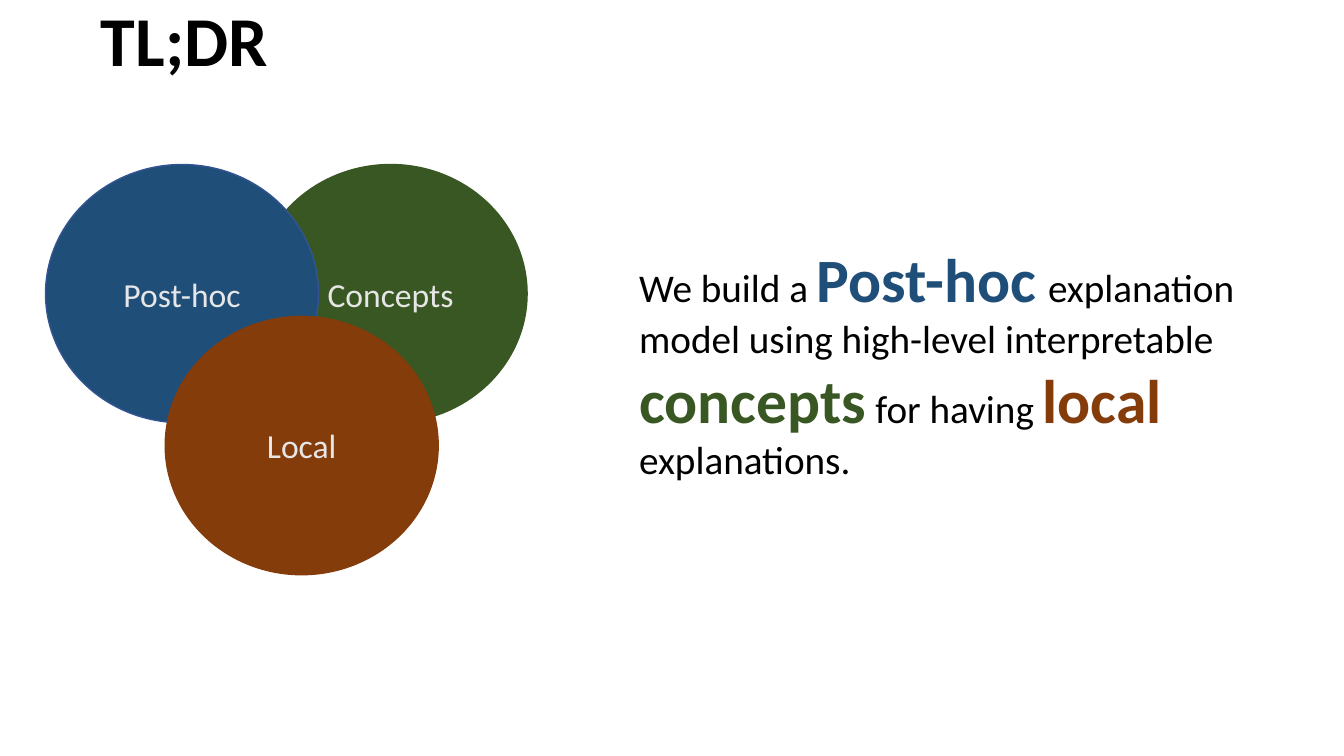
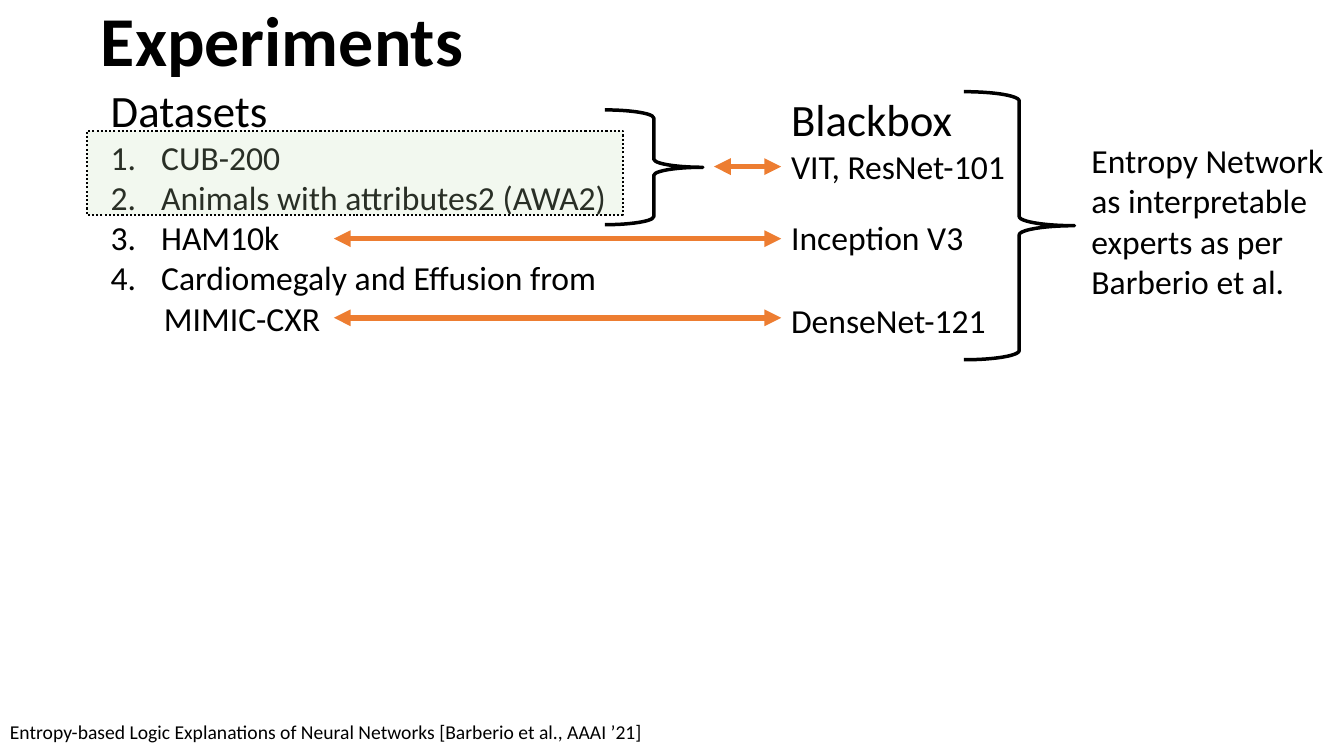
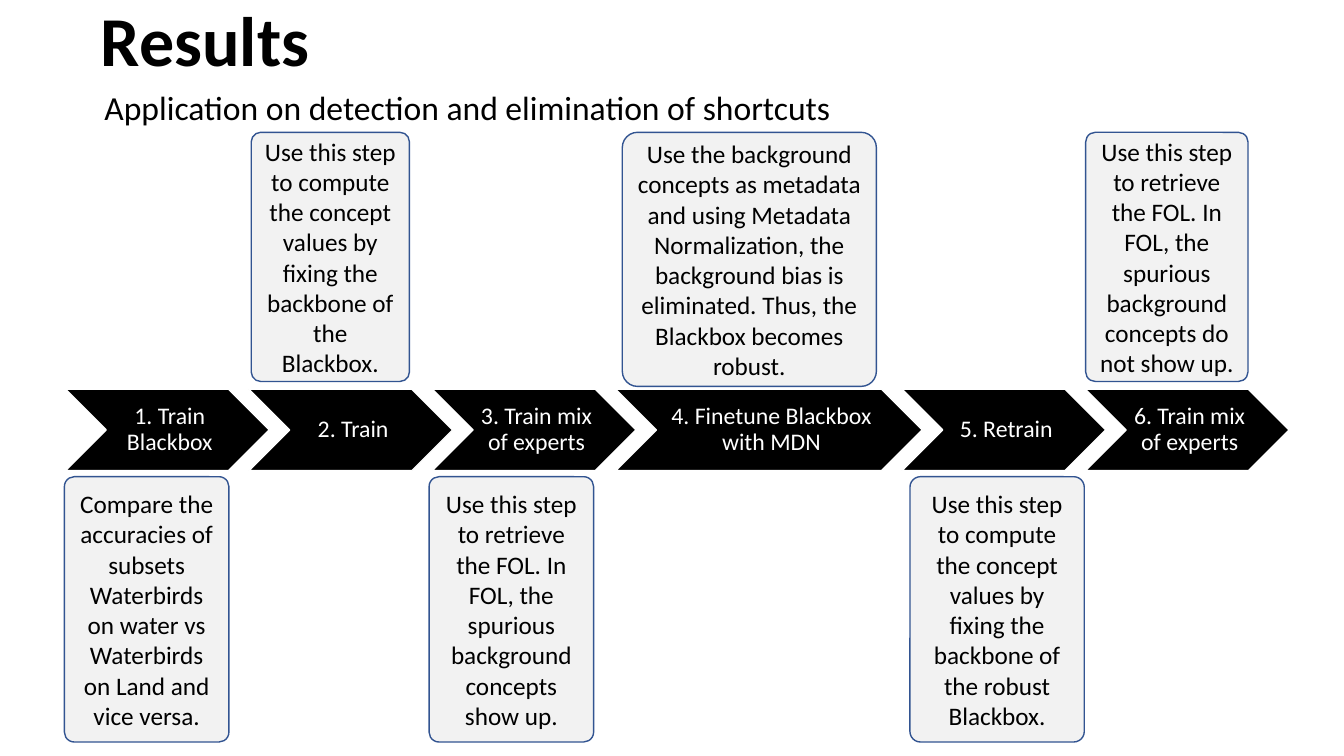
import dataclasses
import typing

import lxml.etree
import pptx
import pptx.dml.color
import pptx.enum.dml
import pptx.enum.shapes
import pptx.enum.text
import pptx.oxml.ns
import pptx.util

Pt = pptx.util.Pt
qn = pptx.oxml.ns.qn
SHAPE = pptx.enum.shapes.MSO_SHAPE
ALIGN = pptx.enum.text.PP_ALIGN
ANCHOR = pptx.enum.text.MSO_ANCHOR

FONT = "Calibri"
BLACK, WHITE, PALE, GREY = "000000", "FFFFFF", "E7E6E6", "F2F2F2"
BLUE, GREEN, BROWN = "1F4E79", "385723", "843C0B"
EDGE, ORANGE, MINT = "325491", "ED7D31", "C5E0B4"


@dataclasses.dataclass
class Box:
    left: float
    top: float
    width: float
    height: float


@dataclasses.dataclass
class Run:
    text: str
    size: float = 24
    color: str = BLACK
    bold: bool = False


@dataclasses.dataclass
class Para:
    runs: list[Run]
    numbered: bool = False
    indent: float = 0
    fmt: dict[str, typing.Any] = dataclasses.field(default_factory=dict)


@dataclasses.dataclass
class Circle:
    label: str
    left: float
    top: float
    fill: str
    edge: str


@dataclasses.dataclass
class Step:
    label: str
    width: float
    note: str
    box: Box


def rgb(color: str) -> pptx.dml.color.RGBColor:
    return pptx.dml.color.RGBColor.from_string(color)


def apply(obj: typing.Any, fmt: dict[str, typing.Any]) -> None:
    for name, value in fmt.items():
        setattr(obj, name, value)


def line_of(text: str, size: float = 24, **options: typing.Any) -> Para:
    return Para([Run(text, size)], **options)


def centred(text: str, size: float, color: str, **fmt: typing.Any) -> Para:
    return Para([Run(text, size, color)], fmt={"alignment": ALIGN.CENTER, **fmt})


def write(sp: typing.Any, paras: list[Para], **fmt: typing.Any) -> None:
    tf = sp.text_frame
    apply(tf, {"word_wrap": True, **fmt})
    for i, para in enumerate(paras):
        p = tf.add_paragraph() if i else tf.paragraphs[0]
        pPr = p._p.get_or_add_pPr()
        if para.indent:
            pPr.set("marL", str(Pt(para.indent)))
        if para.numbered:
            pPr.set("indent", str(-Pt(para.indent)))
            lxml.etree.SubElement(pPr, qn("a:buAutoNum"), type="arabicPeriod")
        apply(p, para.fmt)
        for run in para.runs:
            r = p.add_run()
            r.text = run.text
            apply(r.font, {"name": FONT, "size": Pt(run.size), "bold": run.bold})
            r.font.color.rgb = rgb(run.color)


def add_text(s: typing.Any, box: Box, paras: list[Para], **fmt: typing.Any) -> None:
    sp = s.shapes.add_textbox(*map(Pt, dataclasses.astuple(box)))
    write(sp, paras, **fmt)


def add_shape(s: typing.Any, kind: typing.Any, box: Box, fill: str | None,
              edge: str, weight: float = 1) -> typing.Any:
    sp = s.shapes.add_shape(kind, *map(Pt, dataclasses.astuple(box)))
    sp.shadow.inherit = False
    if fill:
        sp.fill.solid()
        sp.fill.fore_color.rgb = rgb(fill)
    else:
        sp.fill.background()
    sp.line.color.rgb = rgb(edge)
    sp.line.width = Pt(weight)
    return sp


def add_double_arrow(s: typing.Any, x1: float, x2: float, y: float) -> None:
    straight = pptx.enum.shapes.MSO_CONNECTOR.STRAIGHT
    c = s.shapes.add_connector(straight, Pt(x1), Pt(y), Pt(x2), Pt(y))
    c.line.color.rgb = rgb(ORANGE)
    c.line.width = Pt(4)
    spPr = c._element.spPr
    for end in ("a:headEnd", "a:tailEnd"):
        lxml.etree.SubElement(spPr.find(qn("a:ln")), qn(end), type="triangle")
    lxml.etree.SubElement(spPr, qn("a:effectLst"))


def add_slide(prs: typing.Any, title: str, width: float = 643.5) -> typing.Any:
    s = prs.slides.add_slide(prs.slide_layouts[6])
    p = Para([Run(title, 50, BLACK, True)],
             fmt={"line_spacing": 0.9, "space_after": Pt(6)})
    add_text(s, Box(65, -11.5, width, 73.5), [p], vertical_anchor=ANCHOR.BOTTOM)
    return s


def build_summary(prs: typing.Any) -> None:
    s = add_slide(prs, "TL;DR", 428)
    circles = [
        Circle("Concepts", 181.5, 117.5, GREEN, GREEN),
        Circle("Post-hoc", 32.5, 117.5, BLUE, EDGE),
        Circle("Local", 118, 226, BROWN, BROWN),
    ]
    for c in circles:
        sp = add_shape(s, SHAPE.OVAL, Box(c.left, c.top, 195, 184.5), c.fill, c.edge)
        write(sp, [centred(c.label, 24, PALE)], vertical_anchor=ANCHOR.MIDDLE)
    add_text(s, Box(449.5, 168.5, 453.5, 181.5), [Para([
        Run("We build a ", 28),
        Run("Post-hoc", 44, BLUE, True),
        Run(" ", 36),
        Run("explanation model using high-level interpretable ", 28),
        Run("concepts", 44, GREEN, True),
        Run(" for having ", 28),
        Run("local", 44, BROWN, True),
        Run(" explanations.", 28),
    ])])


def build_experiments(prs: typing.Any) -> None:
    s = add_slide(prs, "Experiments")
    datasets = ["CUB-200", "Animals with attributes2 (AWA2)", "HAM10k",
                "Cardiomegaly and Effusion from"]
    add_text(s, Box(72, 55.5, 449.5, 191.5), [
        line_of("Datasets", 32),
        *(line_of(name, numbered=True, indent=36) for name in datasets),
        line_of("MIMIC-CXR", indent=38),
    ])
    add_text(s, Box(558, 62, 234, 75),
             [line_of("Blackbox", 32), line_of("VIT, ResNet-101")])
    add_text(s, Box(558, 151.5, 139, 36), [line_of("Inception V3")], word_wrap=False)
    add_text(s, Box(558, 210.5, 155, 36), [line_of("DenseNet-121")], word_wrap=False)

    for brace in (Box(432, 78.5, 70, 82), Box(688.5, 65.5, 79, 191.5)):
        add_shape(s, SHAPE.RIGHT_BRACE, brace, None, BLACK, 2.5)
    marker = add_shape(s, SHAPE.RECTANGLE, Box(62, 93.5, 383, 60), MINT, BLACK, 1.5)
    marker.line.dash_style = pptx.enum.dml.MSO_LINE.ROUND_DOT
    color = marker._element.spPr.find(qn("a:solidFill"))[0]
    lxml.etree.SubElement(color, qn("a:alpha"), val="21000")
    for x, y in ((510, 119), (238.5, 170.5), (238.5, 227)):
        add_double_arrow(s, x, 558, y)

    experts = ["Entropy Network", "as interpretable", "experts as per", "Barberio et al."]
    add_text(s, Box(772.5, 96.5, 187, 124), [line_of(t) for t in experts],
             word_wrap=False)
    add_text(s, Box(0, 510.5, 509, 24.5), [line_of(
        "Entropy-based Logic Explanations of Neural Networks "
        "[Barberio et al., AAAI ’21]", 14)])


def build_results(prs: typing.Any) -> None:
    s = add_slide(prs, "Results")
    add_text(s, Box(67.5, 58.5, 876, 36),
             [line_of("Application on detection and elimination of shortcuts")])
    above, below = 94.5, 340.5
    steps = [
        Step("1. Train Blackbox", 145.5,
             "Compare the accuracies of subsets Waterbirds on water vs "
             "Waterbirds on Land and vice versa.", Box(46, below, 117.5, 189.5)),
        Step("2. Train", 145.5,
             "Use this step to compute the concept values by fixing the "
             "backbone of the Blackbox.", Box(179.5, above, 113, 178)),
        Step("3. Train mix of experts", 145.5,
             "Use this step to retrieve the FOL. In FOL, the spurious "
             "background concepts show up.", Box(306.5, below, 117.5, 189.5)),
        Step("4. Finetune Blackbox with MDN", 219,
             "Use the background concepts as metadata and using Metadata "
             "Normalization, the background bias is eliminated. Thus, the "
             "Blackbox becomes robust.", Box(444.5, above, 181.5, 181.5)),
        Step("5. Retrain", 145.5,
             "Use this step to compute the concept values by fixing the "
             "backbone of the robust Blackbox.", Box(650, below, 124.5, 189.5)),
        Step("6. Train mix of experts", 145.5,
             "Use this step to retrieve the FOL. In FOL, the spurious background "
             "concepts do not show up.", Box(775.5, above, 116, 178)),
    ]
    left, top, height, overlap = 46.8, 278, 58.2, 14.5
    insets = {"margin_left": Pt(5), "margin_right": Pt(1.5),
              "margin_top": Pt(1.5), "margin_bottom": Pt(1.5)}
    for step in steps:
        add_shape(s, SHAPE.CHEVRON, Box(left, top, step.width, height), BLACK, WHITE)
        add_text(s, Box(left + height / 2, top, step.width - height, height),
                 [centred(step.label, 17, WHITE, line_spacing=0.9)],
                 vertical_anchor=ANCHOR.MIDDLE, **insets)
        left += step.width - overlap
        note = add_shape(s, SHAPE.ROUNDED_RECTANGLE, step.box, GREY, EDGE)
        note.adjustments[0] = 0.06
        write(note, [centred(step.note, 18, BLACK)], vertical_anchor=ANCHOR.MIDDLE)


def main() -> None:
    prs = pptx.Presentation()
    apply(prs, {"slide_width": Pt(960), "slide_height": Pt(540)})
    for build in (build_summary, build_experiments, build_results):
        build(prs)
    prs.save("out.pptx")


if __name__ == "__main__":
    main()
